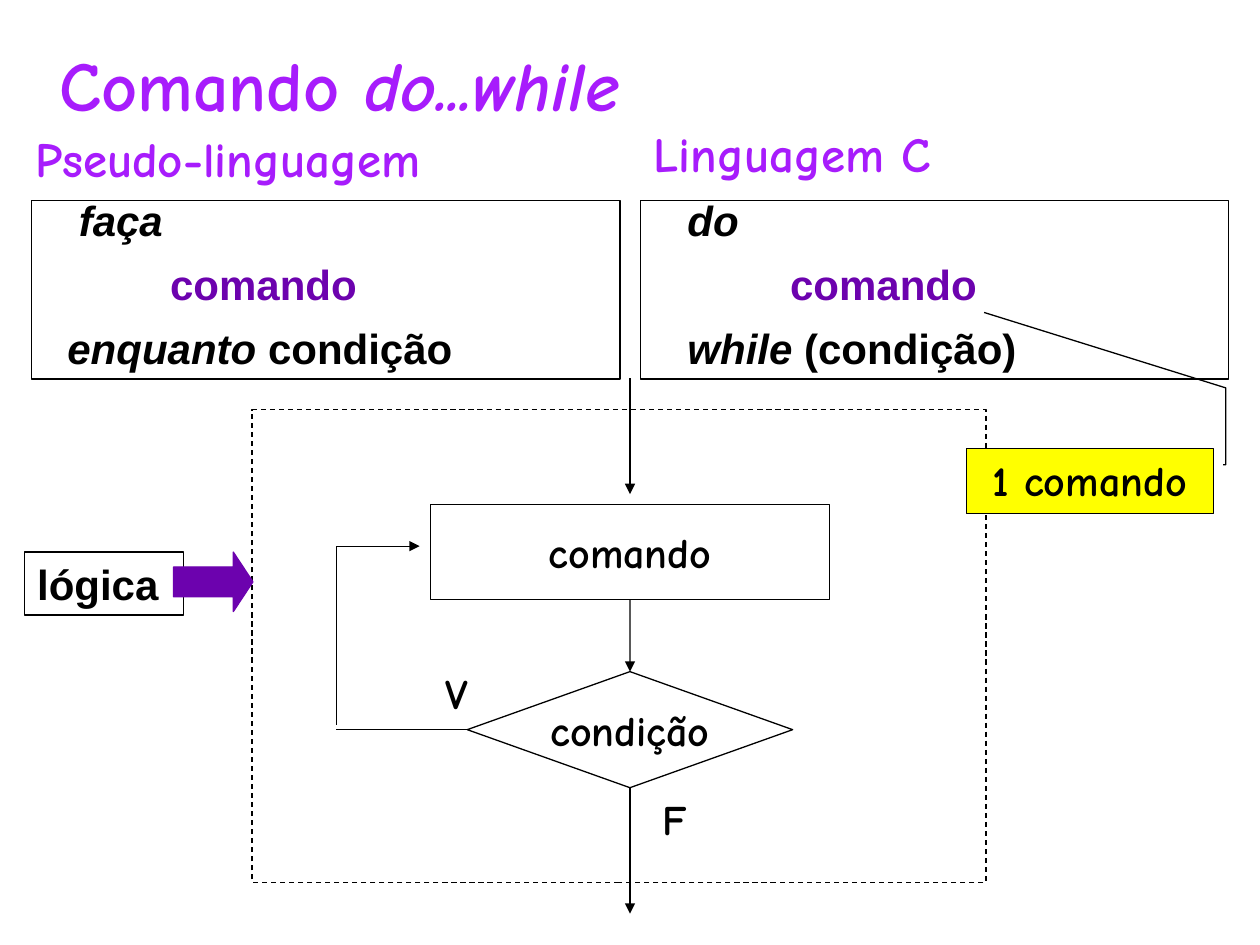
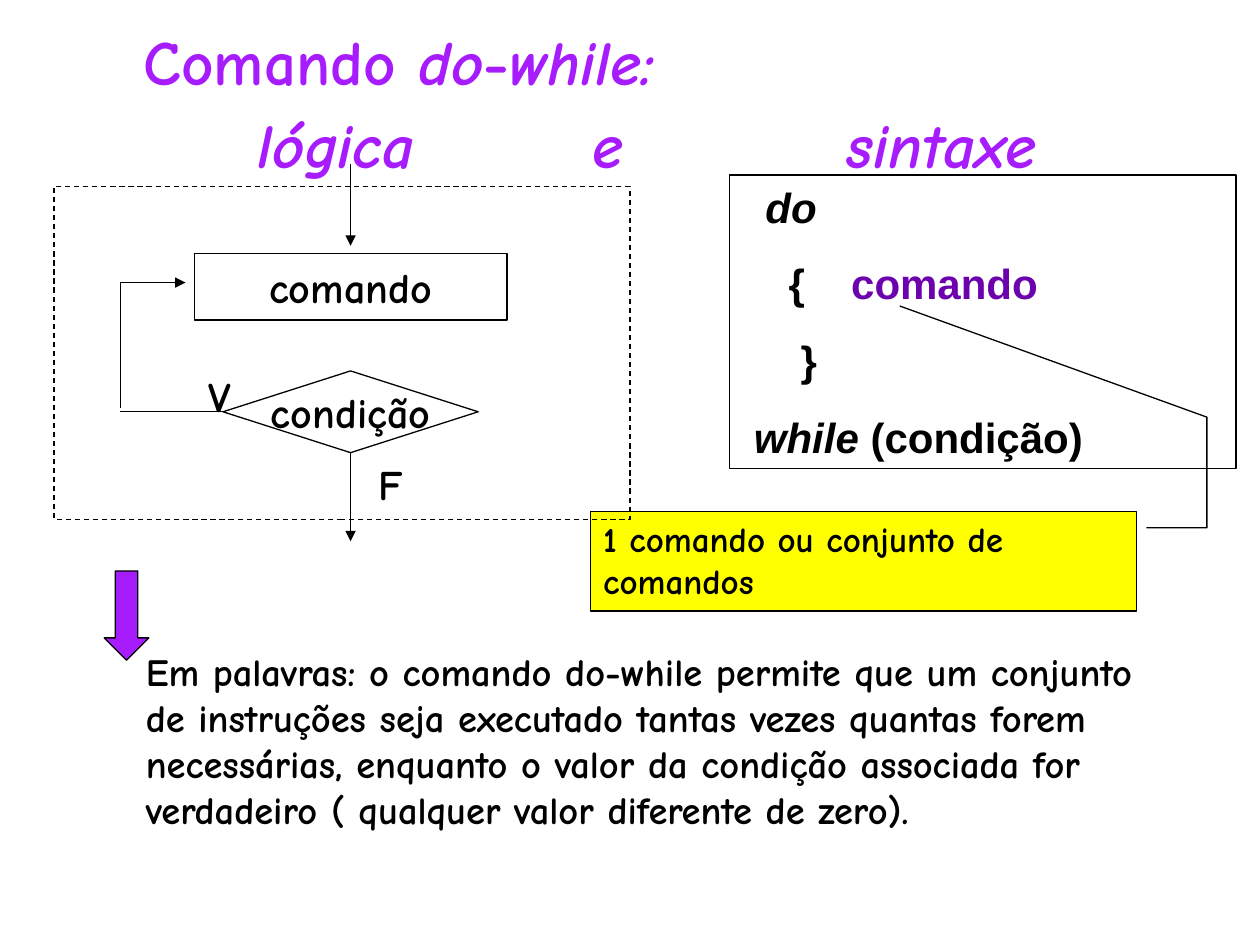
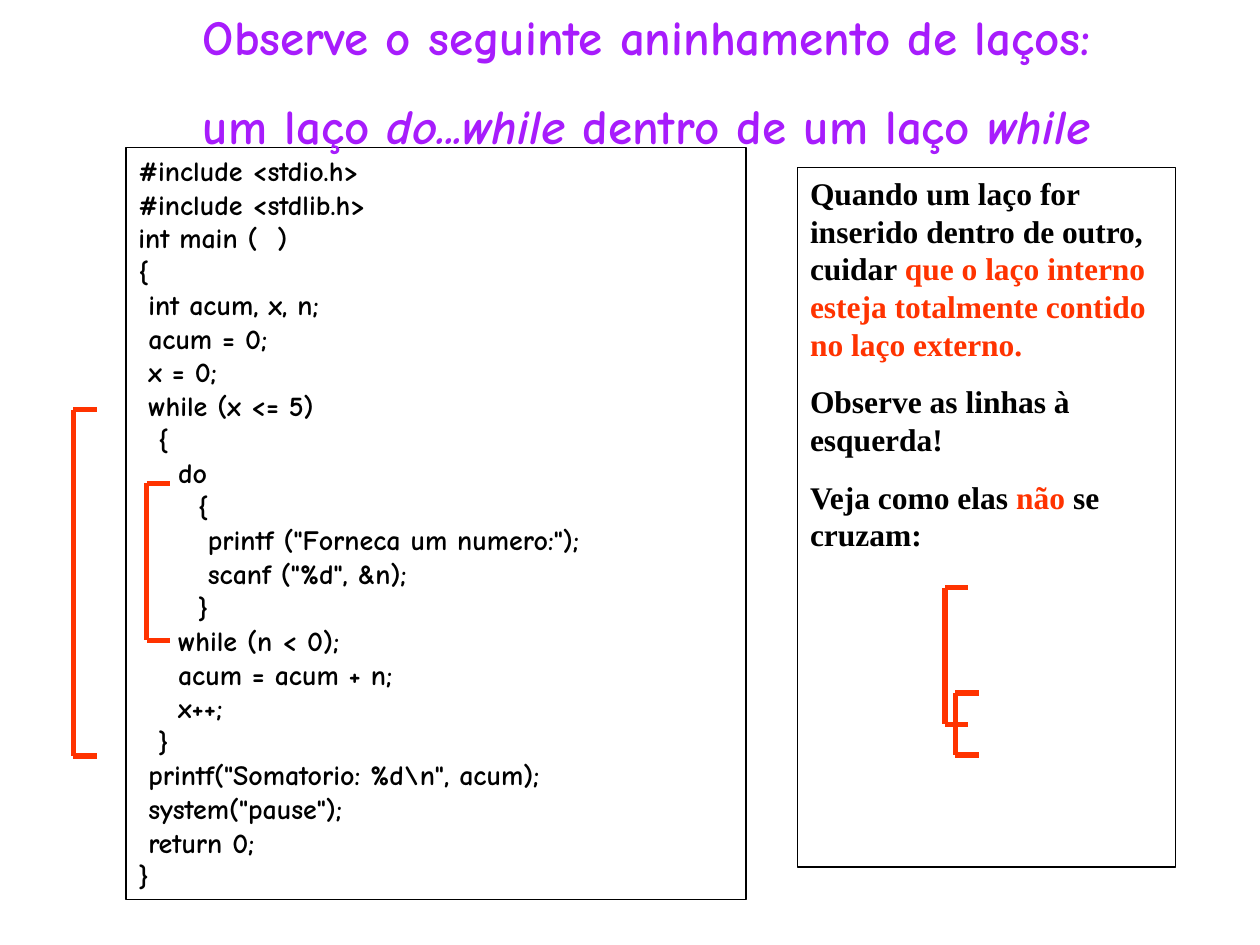
from pptx import Presentation
from pptx.dml.color import RGBColor
from pptx.enum import dml, shapes, text
from pptx.oxml import ns
from pptx.util import Cm, Pt
from lxml import etree


# Theme: colours, faces, type sizes and line widths
class Look:
    ink = RGBColor(0x00, 0x00, 0x00)
    white = RGBColor(0xFF, 0xFF, 0xFF)
    violet = RGBColor(0xA7, 0x1C, 0xFC)
    plum = RGBColor(0x6C, 0x02, 0xAE)
    red = RGBColor(0xFF, 0x33, 0x00)
    yellow = RGBColor(0xFF, 0xFF, 0x00)
    comic, sans, serif = "Comic Neue", "Arial", "Times New Roman"
    thin, thick = 0.75, 3
    head, large, sub, base, body, note, small, code = 40, 36, 28, 24, 22, 20, 18, 16


BOX = shapes.MSO_SHAPE.RECTANGLE
ARROW = shapes.MSO_SHAPE.RIGHT_ARROW
LEFT, MID = text.PP_ALIGN.LEFT, text.PP_ALIGN.CENTER
ITALIC = {"italic": True}
PLUM, RED = {"color": Look.plum}, {"color": Look.red}

# Content: a paragraph is (runs, layout), a run is (words, format)
HEADS = [
    [([("Comando ", {}), ("do...while", ITALIC)], {})],
    [([("Comando ", {}), ("do", ITALIC), ("-", {}), ("while:", ITALIC)], {}),
     ([("\tlógica\te\tsintaxe", ITALIC)], {"tabs": [2.3, 9.06, 14.18], "before": 4})],
    [([("Observe o seguinte aninhamento de laços:", {})], {}),
     ([("um laço ", {}), ("do...while", ITALIC), (" dentro de um laço ", {}),
       ("while", ITALIC)], {"before": 17.5})],
]
PSEUDO = [
    ([("faça", ITALIC)], {"pad": 0.7}),
    ([("comando", PLUM)], {"pad": 2.54}),
    ([("enquanto ", ITALIC), ("condição", {})], {"pad": 0.47}),
]
SYNTAX = [
    ([("do", ITALIC)], {"pad": 0.7}),
    ([("comando", PLUM)], {"pad": 2.77}),
    ([("while ", ITALIC), ("(condição)", {})], {"pad": 0.7}),
]
BLOCK = [
    ([("do", ITALIC)], {"pad": 0.47}),
    ([("\t{\t", {}), ("comando", PLUM)], {"tabs": [0.94, 2.2]}),
    ([("}", {})], {"pad": 1.18}),
    ([("while", ITALIC), (" (condição)", {})], {"pad": 0.24}),
]
WORDS = (
    "Em palavras: o comando do-while permite que um conjunto de instruções seja "
    "executado tantas vezes quantas forem necessárias, enquanto o valor da condição "
    "associada for verdadeiro ( qualquer valor diferente de zero)."
)
ADVICE = [
    ([("Quando um laço for inserido dentro de outro, cuidar ", {}),
      ("que o laço interno esteja totalmente contido no laço externo.", RED)], {}),
    ([("Observe as linhas à esquerda!", {})], {}),
    ([("Veja como elas ", {}), ("não", RED), (" se cruzam:", {})], {}),
]
PROGRAM = r"""#include <stdio.h>
#include <stdlib.h>
int main (  )
{
 int acum, x, n;
 acum = 0;
 x = 0;
 while (x <= 5)
  {
    do
      {
       printf ("Forneca um numero:");
       scanf ("%d", &n);
      }
    while (n < 0);
    acum = acum + n;
    x++;
  }
 printf("Somatorio: %d\n", acum);
 system("pause");
 return 0;
}"""
# Loop brackets: left, top, bottom
LOOPS = [(1.48, 8.26, 15.24), (2.96, 9.74, 12.91),
         (19.05, 11.85, 14.6), (19.26, 13.97, 15.22)]


# Helpers
def put(obj, vals):
    for key, val in vals.items():
        setattr(obj, key, val)


def plain(words):
    return [([(row, {})], {}) for row in words.split("\n")]


def fill_text(shape, paras, size, face=Look.comic, color=Look.ink, align=LEFT,
              mid=False, wrap=True, before=0, lead=None):
    frame = shape.text_frame
    put(frame, {
        "word_wrap": wrap,
        "auto_size": text.MSO_AUTO_SIZE.NONE,
        "vertical_anchor": text.MSO_ANCHOR.MIDDLE if mid else text.MSO_ANCHOR.TOP,
    })
    for i, (runs, lay) in enumerate(paras):
        para = frame.add_paragraph() if i else frame.paragraphs[0]
        props = para._p.get_or_add_pPr()
        if "pad" in lay:
            put_attrs = {"marL": Cm(lay["pad"]), "indent": 0}
            for key, val in put_attrs.items():
                props.set(key, str(int(val)))
        if "tabs" in lay:
            stops = etree.SubElement(props, ns.qn("a:tabLst"))
            for pos in lay["tabs"]:
                etree.SubElement(stops, ns.qn("a:tab"), pos=str(int(Cm(pos))), algn="l")
        put(para, {"alignment": align, "line_spacing": lead,
                   "space_before": Pt(lay.get("before", before) if i else 0)})
        for words, form in runs:
            run = para.add_run()
            run.text = words
            vals = {"name": face, "size": Pt(size), "bold": True, **form}
            run.font.color.rgb = vals.pop("color", color)
            put(run.font, vals)


def paint(shape, fill=None, line=Look.ink):
    shape.shadow.inherit = False
    if fill is None:
        shape.fill.background()
    else:
        shape.fill.solid()
        shape.fill.fore_color.rgb = fill
    shape.line.color.rgb = line
    shape.line.width = Pt(Look.thin)


def draw(slide, kind, area, fill=None, line=Look.ink):
    shape = slide.shapes.add_shape(kind, *map(Cm, area))
    paint(shape, fill, line)
    return shape


def label(slide, words, area, size=Look.base, **form):
    fill_text(slide.shapes.add_textbox(*map(Cm, area)), plain(words), size, **form)


def wire(slide, start, end, tip=False, color=Look.ink, width=Look.thin):
    line = slide.shapes.add_connector(
        shapes.MSO_CONNECTOR.STRAIGHT, *map(Cm, (*start, *end)))
    line.line.color.rgb = color
    line.line.width = Pt(width)
    if tip:
        etree.SubElement(line.line._get_or_add_ln(), ns.qn("a:tailEnd"), type="triangle")
    etree.SubElement(line._element.spPr, ns.qn("a:effectLst"))
    return line


def title(slide, paras, area, size, **form):
    head = slide.shapes.title
    put(head, dict(zip(("left", "top", "width", "height"), map(Cm, area))))
    fill_text(head, paras, size, color=Look.violet, **form)
    # Bring the heading in front of what is drawn so far
    head._element.getparent().append(head._element)


def callout(slide, words, area, size, align, route):
    box = draw(slide, BOX, area, Look.yellow)
    fill_text(box, plain(words), size, align=align)
    first, *rest = [tuple(map(Cm, point)) for point in route]
    pen = slide.shapes.build_freeform(*first)
    pen.add_line_segments(rest, close=False)
    paint(pen.convert_to_shape())


def flow(slide, left, top, wide, high, joined):
    """Loop diagram, laid out on a 14.8 by 9.53 cm frame and scaled."""
    sx, sy = wide / 14.8, high / 9.53

    def at(x, y):
        return left + x * sx, top + y * sy

    def node(kind, words, x, y, w, h):
        shape = draw(slide, kind, (*at(x, y), w * sx, h * sy), Look.white)
        fill_text(shape, plain(words), Look.base, align=MID, mid=True, wrap=False)
        return shape

    test = node(shapes.MSO_SHAPE.DIAMOND, "condição", 4.34, 5.28, 6.56, 2.34)
    step = node(BOX, "comando", 3.6, 1.91, 8.04, 1.91)
    for words, x, y in (("V", 3.66, 5.08), ("F", 8.03, 7.62)):
        label(slide, words, (*at(x, y), 0.98, 1.27), wrap=False)
    wire(slide, at(7.62, -0.63), at(7.62, 1.7), tip=True)
    wire(slide, at(1.7, 2.75), at(3.38, 2.75), tip=True)
    wire(slide, at(1.7, 2.75), at(1.7, 6.35))
    wire(slide, at(1.7, 6.45), at(4.34, 6.45)).end_connect(test, 1)
    wire(slide, at(7.62, 7.62), at(7.62, 10.16), tip=True).begin_connect(test, 2)
    frame = draw(slide, BOX, (left, top, wide, high))
    frame.line.dash_style = dml.MSO_LINE.DASH
    if joined:
        link = wire(slide, at(7.62, 3.82), at(7.62, 5.28), tip=True)
        link.begin_connect(step, 2)
        link.end_connect(test, 0)


def bracket(slide, left, top, foot):
    right = left + 0.47
    for start, end in (((left, top), (left, foot)),
                       ((left, foot), (right, foot)),
                       ((left, top), (right, top))):
        wire(slide, start, end, color=Look.red, width=Look.thick)


# Slides
def compare(slide):
    title(slide, HEADS[0], (0.94, 0.71, 12.7, 1.96), Look.head)
    for left, paras in ((0.64, PSEUDO), (12.91, SYNTAX)):
        box = draw(slide, BOX, (left, 4.04, 11.86, 3.6), Look.white)
        fill_text(box, paras, Look.base, face=Look.sans, before=15, lead=0.75)
    for words, area in (("Pseudo-linguagem", (0.46, 2.46, 8.26, 1.45)),
                        ("Linguagem C", (12.93, 2.36, 6.1, 1.45))):
        label(slide, words, area, Look.sub, color=Look.violet, wrap=False)
    flow(slide, 5.08, 8.26, 14.8, 9.53, joined=True)
    callout(slide, "1 comando", (19.48, 9.04, 4.98, 1.32), Look.base, MID,
            [(24.66, 9.37), (24.71, 9.37), (24.71, 7.82), (19.84, 6.3)])
    logic = draw(slide, BOX, (0.5, 11.13, 3.2, 1.27))
    fill_text(logic, plain("lógica"), Look.base, face=Look.sans)
    arrow = draw(slide, ARROW, (3.5, 11.13, 1.6, 1.2), Look.plum, Look.plum)
    arrow.adjustments[1] = 0.33


def explain(slide):
    title(slide, HEADS[1], (2.64, 0.33, 19.05, 3.48), Look.large)
    box = draw(slide, BOX, (14.71, 3.53, 10.21, 5.92), Look.white)
    fill_text(box, BLOCK, Look.base, face=Look.sans, before=15)
    callout(slide, "1 comando ou conjunto de comandos", (11.91, 10.31, 11, 2.01),
            Look.note, LEFT,
            [(23.11, 10.64), (24.33, 10.64), (24.33, 8.41), (18.14, 6.17)])
    arrow = draw(slide, ARROW, (1.65, 11.96, 1.8, 0.9), Look.violet)
    arrow.rotation = 90
    label(slide, WORDS, (2.69, 12.93, 20.6, 3.99), Look.body)
    flow(slide, 1.09, 3.76, 11.61, 6.71, joined=False)


def nest(slide):
    box = draw(slide, BOX, (2.54, 2.97, 12.5, 15.16), Look.white)
    fill_text(box, plain(PROGRAM), Look.code)
    title(slide, HEADS[2], (2.34, 0, 21.39, 3.25), Look.sub, align=MID)
    advice = draw(slide, BOX, (16.08, 3.38, 7.62, 14.1))
    fill_text(advice, ADVICE, Look.small, face=Look.serif, before=11.2)
    for loop in LOOPS:
        bracket(slide, *loop)


def main():
    deck = Presentation()
    put(deck, {"slide_width": Cm(25.4), "slide_height": Cm(19.05)})
    for build in (compare, explain, nest):
        build(deck.slides.add_slide(deck.slide_layouts[5]))
    deck.save("out.pptx")


if __name__ == "__main__":
    main()
